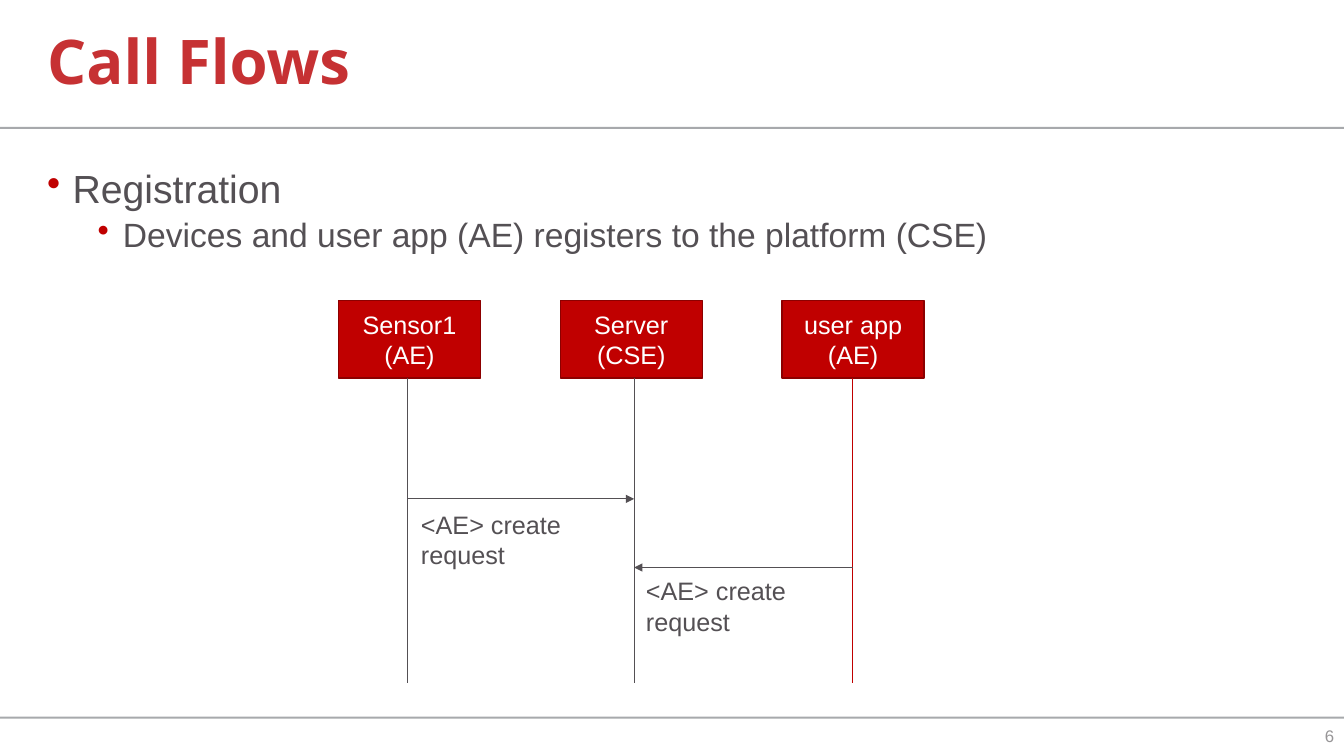
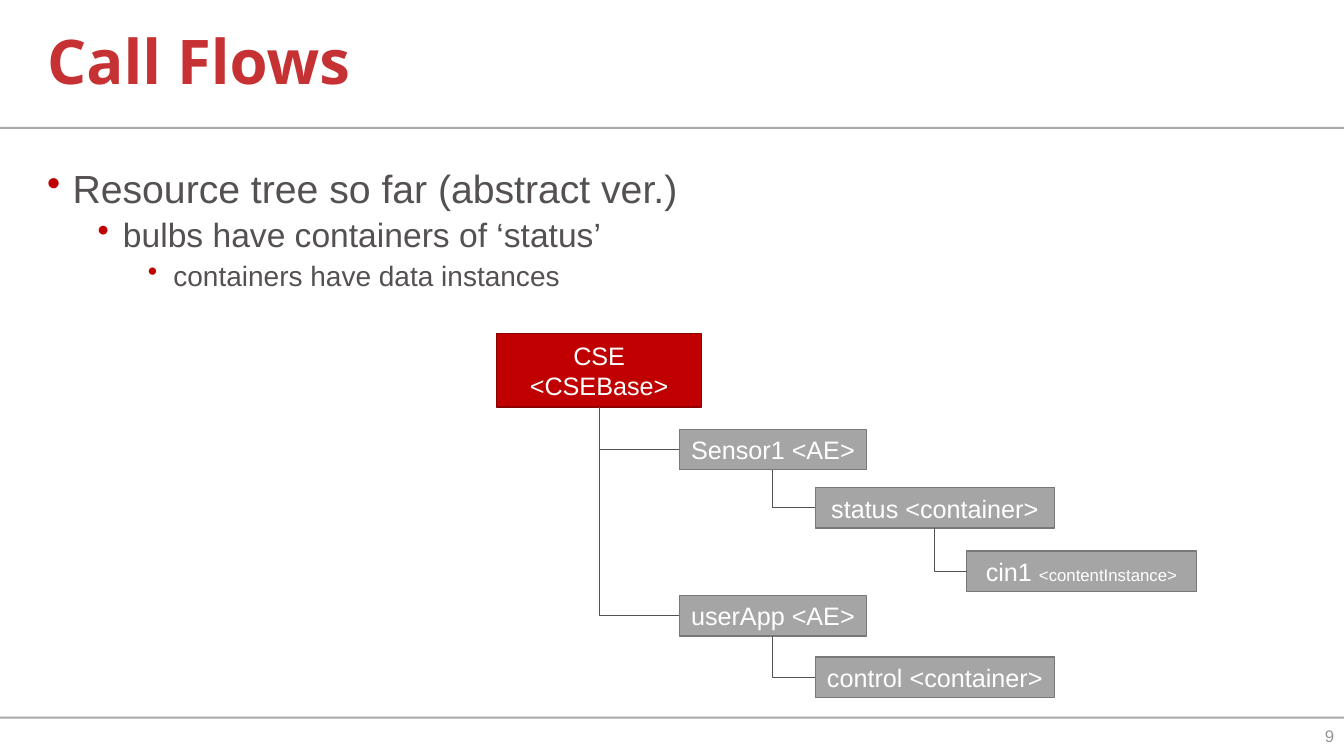
from lxml.etree import SubElement
from pptx import Presentation
from pptx.dml.color import RGBColor
from pptx.enum.shapes import MSO_CONNECTOR, MSO_SHAPE
from pptx.enum.text import MSO_ANCHOR, PP_ALIGN
from pptx.oxml.ns import qn
from pptx.util import Cm, Pt

TITLE_RED = RGBColor(0xC6, 0x31, 0x33)
RED = RGBColor(0xC0, 0x00, 0x00)
DARK_RED = RGBColor(0x8C, 0x00, 0x00)
TEXT_GRAY = RGBColor(0x54, 0x50, 0x54)
BAND_GRAY = RGBColor(0xA7, 0xA9, 0xAC)
NUMBER_GRAY = RGBColor(0x97, 0x95, 0x97)
NODE_GRAY = RGBColor(0xA5, 0xA5, 0xA5)
NODE_BORDER = RGBColor(0x78, 0x78, 0x78)
WHITE = RGBColor(0xFF, 0xFF, 0xFF)

SLIDE_WIDTH, SLIDE_HEIGHT = 33.87, 19.05
BULLET_SIZES = [28, 24, 20]


def write(shape, text, size, color, align=PP_ALIGN.LEFT, anchor=MSO_ANCHOR.TOP, font="Arial"):
    frame = shape.text_frame
    frame.word_wrap = True
    frame.vertical_anchor = anchor
    frame.text = text
    for para in frame.paragraphs:
        para.alignment = align
        for span in para.runs:
            span.font.name = font
            span.font.size = Pt(size)
            span.font.color.rgb = color
    return frame


def draw_line(page, kind, start_x, start_y, end_x, end_y, color=TEXT_GRAY):
    line = page.shapes.add_connector(kind, Cm(start_x), Cm(start_y), Cm(end_x), Cm(end_y))
    line.line.color.rgb = color
    line.line.width = Pt(0.75)
    SubElement(line._element.spPr, qn("a:effectLst"))
    return line


deck = Presentation()
deck.slide_width, deck.slide_height = Cm(SLIDE_WIDTH), Cm(SLIDE_HEIGHT)

# Shared frame: bands, title, bullets, page number
contents = [
    ("6", 29.21, ["Registration", "Devices and user app (AE) registers to the platform (CSE)"]),
    ("9", 23.42, ["Resource tree so far (abstract ver.)", "bulbs have containers of ‘status’",
                  "containers have data instances"]),
]
pages = []
for number, body_width, bullets in contents:
    page = deck.slides.add_slide(deck.slide_layouts[6])
    pages.append(page)
    for band_top in (3.2, 18.06):
        band = page.shapes.add_shape(MSO_SHAPE.RECTANGLE, 0, Cm(band_top), Cm(SLIDE_WIDTH), Cm(0.05))
        band.shadow.inherit = False
        band.fill.solid()
        band.fill.fore_color.rgb = BAND_GRAY
        band.line.fill.background()

    title = page.shapes.add_textbox(Cm(0.94), 0, Cm(21.82), Cm(3.25))
    frame = write(title, "Call Flows", 44, TITLE_RED, anchor=MSO_ANCHOR.MIDDLE, font="Open Sans")
    frame.paragraphs[0].line_spacing = 0.9
    frame.paragraphs[0].runs[0].font.bold = True

    body = page.shapes.add_textbox(Cm(0.94), Cm(4.14), Cm(body_width), Cm(2.62))
    frame = write(body, "\n".join(bullets), 28, TEXT_GRAY)
    for level, para in enumerate(frame.paragraphs):
        para.level = level
        para.line_spacing = 0.9
        para.space_before = Pt(5 if level else 0)
        para.runs[0].font.size = Pt(BULLET_SIZES[level])
        properties = para._p.get_or_add_pPr()
        properties.set("marL", str(Cm(0.64 + 1.27 * level)))
        properties.set("indent", str(-Cm(0.64)))
        bullet_color = SubElement(properties, qn("a:buClr"))
        SubElement(bullet_color, qn("a:srgbClr"), val=str(RED))
        SubElement(properties, qn("a:buChar"), char="•")

    corner = page.shapes.add_textbox(Cm(32.49), Cm(18.03), Cm(1.38), Cm(1.02))
    write(corner, number, 12, NUMBER_GRAY, PP_ALIGN.RIGHT, MSO_ANCHOR.MIDDLE)

flow_page, tree_page = pages

# Boxes of both diagrams: page, text, left, top, width, height
actors = ["Sensor1\n(AE)", "Server\n(CSE)", "user app\n(AE)"]
boxes = [(flow_page, actor, 8.53 + 5.59 * index, 7.57, 3.58, 1.96)
         for index, actor in enumerate(actors)]
nodes = {
    "base": ("CSE <CSEBase>", 12.52, 8.41, 5.16, 1.85),
    "sensor": ("Sensor1 <AE>", 17.12, 10.82, 4.72, 1.02),
    "status": ("status <container>", 20.55, 12.29, 6.02, 1.02),
    "instance": ("cin1 ", 24.36, 13.89, 5.79, 1.02),
    "app": ("userApp <AE>", 17.12, 15.01, 4.72, 1.02),
    "control": ("control <container>", 20.55, 16.56, 6.02, 1.02),
}
boxes += [(tree_page, *node) for node in nodes.values()]
for page, text, left, top, width, height in boxes:
    box = page.shapes.add_shape(MSO_SHAPE.RECTANGLE, Cm(left), Cm(top), Cm(width), Cm(height))
    is_red = page is flow_page or "CSEBase" in text
    box.shadow.inherit = False
    box.fill.solid()
    box.fill.fore_color.rgb = RED if is_red else NODE_GRAY
    box.line.color.rgb = DARK_RED if is_red else NODE_BORDER
    box.line.width = Pt(1)
    frame = write(box, text, 18, WHITE, PP_ALIGN.CENTER, MSO_ANCHOR.MIDDLE)
    if text == "cin1 ":
        span = frame.paragraphs[0].add_run()
        span.text = "<contentInstance>"
        span.font.name = "Arial"
        span.font.size = Pt(12)
        span.font.color.rgb = WHITE

# Lifelines
sensor_x, server_x, app_x = 10.26, 15.98, 21.49
for x, color in ((sensor_x, TEXT_GRAY), (server_x, TEXT_GRAY), (app_x, RED)):
    draw_line(flow_page, MSO_CONNECTOR.STRAIGHT, x, 9.53, x, 17.22, color)

# Requests sent to the server
for start_x, y, label_left, label_top in ((sensor_x, 12.57, 10.36, 12.7), (app_x, 14.3, 16.03, 14.38)):
    arrow = draw_line(flow_page, MSO_CONNECTOR.STRAIGHT, start_x, y, server_x, y)
    SubElement(arrow.line._get_or_add_ln(), qn("a:tailEnd"), type="triangle")
    label = flow_page.shapes.add_textbox(Cm(label_left), Cm(label_top), Cm(5.92), Cm(1.02))
    write(label, "<AE> create request", 18, TEXT_GRAY)

# Tree branches: from the bottom centre of the parent to the left middle of the child
branches = [("base", "sensor"), ("base", "app"), ("sensor", "status"),
            ("status", "instance"), ("app", "control")]
for parent, child in branches:
    _, left, top, width, height = nodes[parent]
    start_x, start_y = left + width / 2, top + height
    _, end_x, child_top, _, child_height = nodes[child]
    end_y = child_top + child_height / 2
    # The one-bend elbow lies on its side and is turned three quarters round its centre
    center_x, center_y = (start_x + end_x) / 2, (start_y + end_y) / 2
    half_run, half_drop = (end_x - start_x) / 2, (end_y - start_y) / 2
    branch = draw_line(tree_page, MSO_CONNECTOR.ELBOW, center_x + half_drop, center_y - half_run,
                       center_x - half_drop, center_y + half_run)
    properties = branch._element.spPr
    properties.find(qn("a:xfrm")).set("rot", str(270 * 60000))
    properties.find(qn("a:prstGeom")).set("prst", "bentConnector2")

deck.save("out.pptx")
